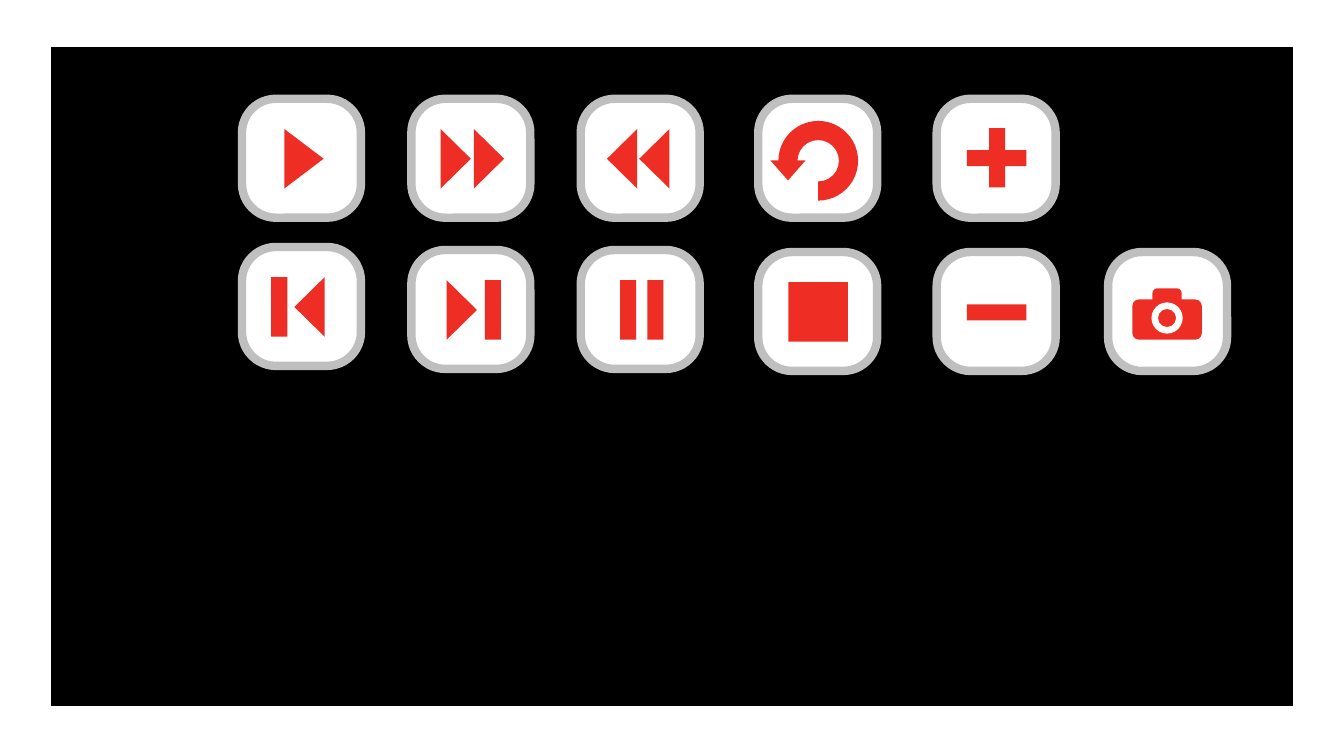
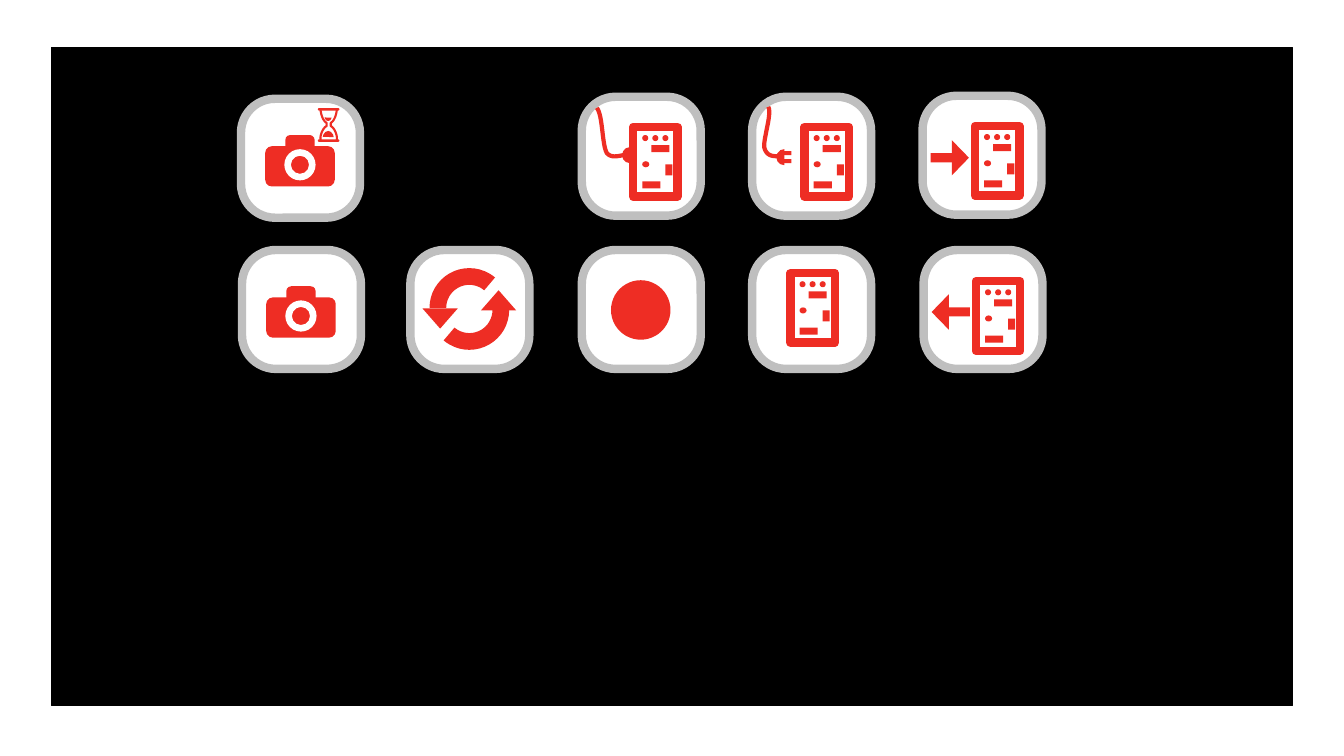
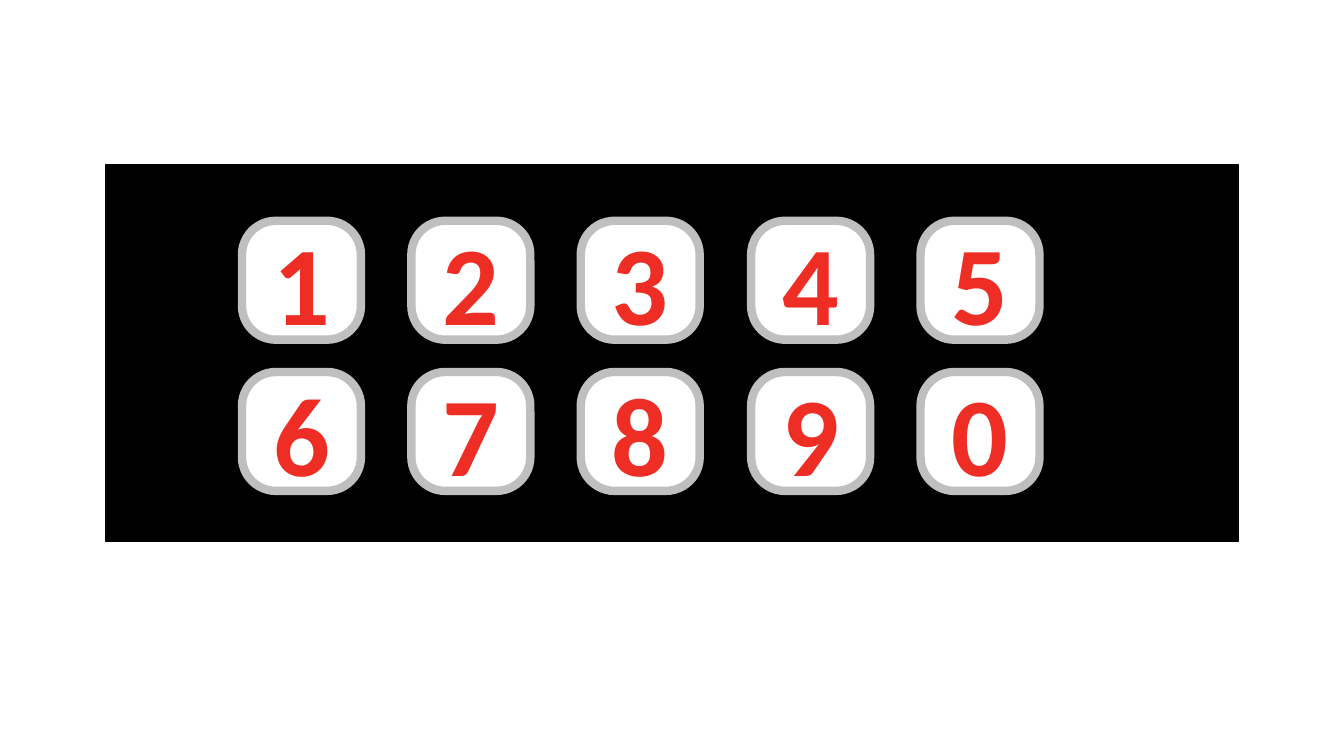
from dataclasses import dataclass, replace

from pptx import Presentation
from pptx.dml.color import RGBColor
from pptx.enum import shapes, text
from pptx import util as u

PX = 9144  # one px is a hundredth of an inch
COLORS = {"paper": "FFFFFF", "panel": "000000", "rim": "BFBFBF", "symbol": "EE2D24"}
FONT = "Calibri"
KEY_SIZE = 118
KEY_CORNER = 0.285
KEY_RIM = 6
CURVE_STEPS = 12

KIND = shapes.MSO_SHAPE
BAR, DISC, TRIANGLE = KIND.RECTANGLE, KIND.OVAL, KIND.ISOSCELES_TRIANGLE
ROUNDED, RING, ARC, CHORD = KIND.ROUNDED_RECTANGLE, KIND.DONUT, KIND.BLOCK_ARC, KIND.CHORD


@dataclass
class Part:
    """A preset shape; left and top count from the key's corner, as seen after turning."""
    kind: int
    left: int
    top: int
    width: int
    height: int
    turn: int = 0
    adjust: tuple = ()
    fill: str = "symbol"
    line: str = ""
    weight: float = 1

    def draw(self, canvas, left, top):
        add_part(canvas, self.moved(left, top))

    def moved(self, left, top):
        return replace(self, left=self.left + left, top=self.top + top)


@dataclass
class Curve:
    """A chain of cubic curves: a start, then three points for each curve."""
    points: tuple
    weight: float

    def draw(self, canvas, left, top):
        moved = [(x + left, y + top) for x, y in self.points]
        add_curve(canvas, moved, self.weight)


# Elements

def color(name):
    return RGBColor.from_string(COLORS[name])


def add_part(canvas, part):
    left, top, width, height = part.left, part.top, part.width, part.height
    if part.turn in (90, 270):
        left, top = left + (width - height) / 2, top + (height - width) / 2
        width, height = height, width
    shape = canvas.add_shape(part.kind, *(round(v * PX) for v in (left, top, width, height)))
    shape.shadow.inherit = False
    shape.rotation = part.turn
    for index, value in enumerate(part.adjust):
        shape.adjustments[index] = value
    shape.fill.solid()
    shape.fill.fore_color.rgb = color(part.fill)
    set_line(shape, part.line, part.weight)
    return shape


def set_line(shape, name, weight):
    if not name:
        shape.line.fill.background()
        return
    shape.line.color.rgb = color(name)
    shape.line.width = u.Pt(weight)


def add_curve(canvas, points, weight):
    track = []
    for start in range(0, len(points) - 1, 3):
        controls = points[start:start + 4]
        for step in range(1, CURVE_STEPS + 1):
            t = step / CURVE_STEPS
            shares = ((1 - t) ** 3, 3 * t * (1 - t) ** 2, 3 * t * t * (1 - t), t ** 3)
            track.append(tuple(
                round(PX * sum(share * point[axis] for share, point in zip(shares, controls)))
                for axis in (0, 1)))
    builder = canvas.build_freeform(points[0][0] * PX, points[0][1] * PX, scale=1.0)
    builder.add_line_segments(track, close=False)
    shape = builder.convert_to_shape()
    shape.shadow.inherit = False
    shape.fill.background()
    set_line(shape, "symbol", weight)


def write_text(shape, words, size=80, bold=True, ink="symbol", align=text.PP_ALIGN.CENTER):
    frame = shape.text_frame
    frame.word_wrap = True
    frame.vertical_anchor = text.MSO_ANCHOR.MIDDLE
    para = frame.paragraphs[0]
    para.alignment = align
    span = para.add_run()
    span.text = words
    span.font.name, span.font.size, span.font.bold = FONT, u.Pt(size), bold
    span.font.color.rgb = color(ink)


def add_key(page, left, top):
    return add_part(page.shapes, Part(ROUNDED, left, top, KEY_SIZE, KEY_SIZE,
                                      adjust=(KEY_CORNER,), fill="paper",
                                      line="rim", weight=KEY_RIM))


def add_symbol_key(page, left, top, parts):
    add_key(page, left, top)
    canvas = page.shapes
    if len(parts) > 1:
        canvas = page.shapes.add_group_shape().shapes
    for part in parts:
        part.draw(canvas, left, top)


def add_page(deck, left, top, width, height):
    page = deck.slides.add_slide(deck.slide_layouts[6])
    add_part(page.shapes, Part(BAR, left, top, width, height, fill="panel", line="panel"))
    return page


# Symbol pieces

def pointer(left, turn):
    return Part(TRIANGLE, left, 30, 30, 59, turn)


def upright(left):
    return Part(BAR, left, 30, 16, 59)


def arrowhead(left, top, turn=0):
    return Part(TRIANGLE, left, top, 35, 20, turn)


def half_turn(top, turn=0):
    return Part(ARC, 19, top, 79, 79, turn, (108, 186.09, 0.21))


def circuit_board(left, top):
    pieces = [
        Part(BAR, 0, 0, 44, 69, fill="paper", line="symbol", weight=6),
        Part(BAR, 32, 37, 7, 11),
        Part(BAR, 18, 18, 18, 7),
        Part(BAR, 9, 54, 18, 7),
        Part(DISC, 9, 34, 7, 6),
    ]
    pieces += [Part(DISC, 9 + 10 * index, 8, 6, 6) for index in range(3)]
    return [piece.moved(left, top) for piece in pieces]


def hourglass():
    left_side = ((79, 11), (79, 14), (81, 22), (85, 24), (85, 25),
                 (85, 27), (85, 27), (81, 29), (78, 37), (79, 41))
    right_side = tuple((174 - x, y) for x, y in left_side)
    caps = [Part(ROUNDED, 77, top, 20, 1, adjust=(0.5,), line="symbol") for top in (10, 41)]
    sand = [Part(CHORD, 81, 32, 11, 14, 90, (60.67, 155.83)),
            Part(CHORD, 83, 14, 7, 8, 270, (60.67, 156.7))]
    return [Curve(left_side, 1.5), Curve(right_side, 1.5)] + caps + sand


def plug(left, top):
    return Part(CHORD, left, top, 16, 16, adjust=(53.73, 162))


# Symbols

PLAY = [Part(TRIANGLE, 42, 30, 39, 59, 90)]
FORWARD = [pointer(62, 90), pointer(29, 90)]
REWIND = [pointer(58, 270), pointer(26, 270)]
PREVIOUS = [upright(29), pointer(52, 270)]
NEXT = [upright(73), pointer(35, 90)]
PAUSE = [upright(39), upright(66)]
STOP = [Part(BAR, 30, 30, 59, 59)]
RECORD = [Part(DISC, 29, 30, 59, 59)]
RETURN = [arrowhead(12, 61, 180), Part(ARC, 20, 22, 79, 79, adjust=(108, 54.15, 0.24))]
SYNC = [arrowhead(12, 58, 180), half_turn(18), arrowhead(70, 40), half_turn(20, 180)]
MINUS = [Part(BAR, 30, 52, 59, 16)]
PLUS = [Part(BAR, 30, 51, 59, 16), Part(BAR, 52, 29, 16, 59)]
CAMERA = [Part(ROUNDED, 24, 47, 69, 40, 180), Part(ROUNDED, 44, 36, 29, 34, 180),
          Part(RING, 43, 50, 31, 31, adjust=(0.21,), fill="paper")]
TIMER = CAMERA + hourglass()
BOARD = circuit_board(38, 23)
PLUGGED = circuit_board(51, 30) + [
    Curve(((15, 11), (21, 18), (20, 48), (25, 56), (31, 63), (43, 56), (48, 57)), 3),
    plug(40, 50)]
UNPLUGGED = circuit_board(52, 30) + [
    Curve(((16, 10), (20, 16), (11, 42), (12, 50), (14, 59), (21, 59), (25, 59)), 3),
    plug(24, 52), Part(BAR, 31, 54, 8, 4), Part(BAR, 31, 62, 8, 4)]
BOARD_IN = circuit_board(52, 30) + [Part(TRIANGLE, 29, 44, 17, 35, 90),
                                    Part(BAR, 8, 57, 33, 9)]
BOARD_OUT = circuit_board(52, 31) + [Part(TRIANGLE, 8, 44, 17, 35, 270),
                                     Part(BAR, 13, 57, 33, 9)]

PLAYER_KEYS = [
    (240, 98, PLAY), (408, 98, FORWARD), (576, 98, REWIND), (752, 98, RETURN),
    (929, 98, PLUS), (240, 245, PREVIOUS), (408, 248, NEXT), (576, 248, PAUSE),
    (752, 250, STOP), (929, 250, MINUS), (1099, 250, CAMERA),
]
DEVICE_KEYS = [
    (239, 98, TIMER), (577, 96, PLUGGED), (746, 96, UNPLUGGED), (915, 95, BOARD_IN),
    (240, 248, CAMERA), (407, 248, SYNC), (577, 248, RECORD), (746, 248, BOARD),
    (916, 248, BOARD_OUT),
]
DIGIT_ROWS = ("12345", "67890")


# Slides

def add_symbol_page(deck, keys):
    page = add_page(deck, 51, 47, 1231, 653)
    for left, top, parts in keys:
        add_symbol_key(page, left, top, parts)


def add_digit_page(deck):
    page = add_page(deck, 105, 163, 1123, 374)
    for row, digits in enumerate(DIGIT_ROWS):
        for column, digit in enumerate(digits):
            key = add_key(page, 240 + round(168.2 * column), 219 + 150 * row)
            write_text(key, digit)


def main():
    deck = Presentation()
    deck.slide_width, deck.slide_height = 1333 * PX, 750 * PX
    add_symbol_page(deck, PLAYER_KEYS)
    add_symbol_page(deck, DEVICE_KEYS)
    add_digit_page(deck)
    deck.save("out.pptx")


if __name__ == "__main__":
    main()
